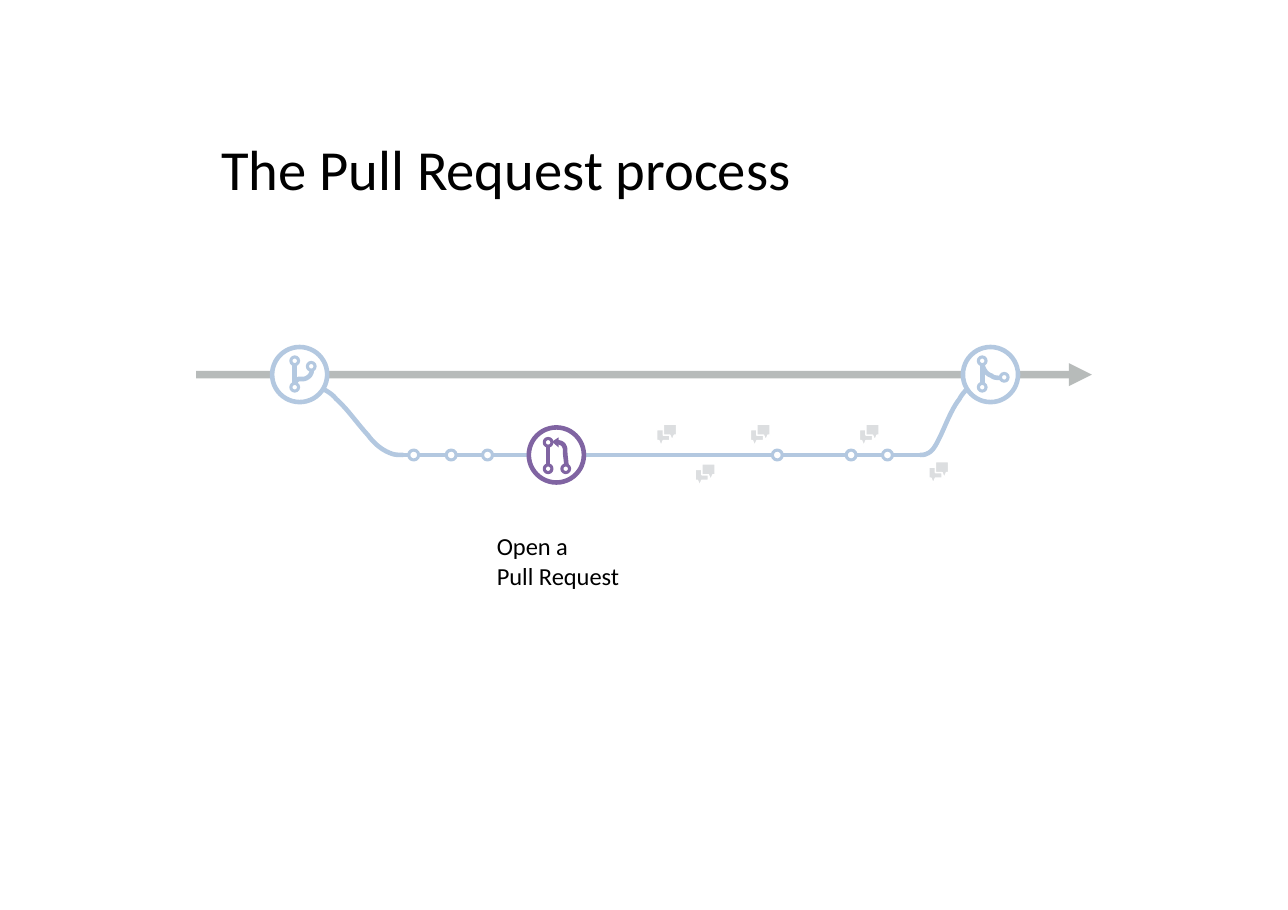
from lxml import etree
from pptx import Presentation
from pptx.dml.color import RGBColor
from pptx.enum.shapes import MSO_CONNECTOR, MSO_SHAPE
from pptx.enum.text import MSO_ANCHOR
from pptx.oxml.ns import qn
from pptx.util import Inches, Pt

STRAIGHT = MSO_CONNECTOR.STRAIGHT
OVAL = MSO_SHAPE.OVAL
MIDDLE = MSO_ANCHOR.MIDDLE

BLACK = RGBColor(0x00, 0x00, 0x00)
WHITE = RGBColor(0xFF, 0xFF, 0xFF)
GREY = RGBColor(0xA6, 0xAA, 0xA9)
PALE_GREY = RGBColor(0xDC, 0xDE, 0xE0)
BLUE = RGBColor(0xB3, 0xC8, 0xE0)
PURPLE = RGBColor(0x80, 0x64, 0xA2)

DOT, NODE, BADGE = 0.09, 0.07, 0.5
MAIN_Y, BRANCH_Y = 0.25, 0.98

# Flow parts, relative to the flow box
COMMITS = [1.93, 2.27, 2.60, 5.23, 5.90, 6.23]
REQUEST_X = 3.02
COMMENTS = [(4.18, 0.70), (4.53, 1.06), (5.03, 0.70), (6.02, 0.70), (6.65, 1.04)]
FORK = [(1.15, 0.38), (1.19, 0.40), (1.24, 0.43), (1.27, 0.47),
        (1.38, 0.57), (1.46, 0.69), (1.56, 0.80),
        (1.62, 0.88), (1.69, 0.94), (1.78, 0.97),
        (1.81, 0.98), (1.84, 0.98), (1.88, 0.98)]
RETURN = [(7.00, 0.38), (6.98, 0.40), (6.95, 0.43), (6.93, 0.47),
          (6.86, 0.56), (6.81, 0.69), (6.76, 0.80),
          (6.72, 0.88), (6.69, 0.95), (6.63, 0.97),
          (6.61, 0.98), (6.59, 0.98), (6.57, 0.98)]

# Badge icons, relative to the badge: top node, bottom node, side node, curve
BRANCH_ICON = [(0.17, 0.09), (0.17, 0.33), (0.32, 0.14)], [
    (0.36, 0.21), (0.36, 0.25), (0.33, 0.28), (0.29, 0.29),
    (0.27, 0.29), (0.25, 0.29), (0.24, 0.29),
    (0.22, 0.30), (0.21, 0.32), (0.21, 0.33)]
MERGE_ICON = [(0.14, 0.09), (0.14, 0.33), (0.34, 0.24)], [
    (0.18, 0.17), (0.19, 0.21), (0.22, 0.25), (0.26, 0.26),
    (0.28, 0.28), (0.31, 0.28), (0.34, 0.28)]
REQUEST_ICON = [(0.14, 0.10), (0.14, 0.34), (0.30, 0.34)], [
    (0.26, 0.14), (0.27, 0.13), (0.28, 0.14), (0.29, 0.14),
    (0.31, 0.15), (0.32, 0.16), (0.32, 0.17),
    (0.33, 0.18), (0.33, 0.20), (0.33, 0.22),
    (0.33, 0.26), (0.34, 0.30), (0.34, 0.34)]
REQUEST_HEAD = [(0.21, 0.13), (0.27, 0.09), (0.27, 0.18)]
BUBBLE = [(0, 0.05), (0, 0.15), (0.02, 0.15), (0.04, 0.20),
          (0.06, 0.15), (0.12, 0.15), (0.12, 0.05)]


def add_text(s, x, y, w, h, lines, size, color=BLACK, font="Calibri", left=0.03):
    tf = s.shapes.add_textbox(Inches(x), Inches(y), Inches(w), Inches(h)).text_frame
    tf.word_wrap = True
    tf.vertical_anchor = MIDDLE
    tf.margin_left = Inches(left)
    tf.margin_right = tf.margin_top = tf.margin_bottom = Inches(0.03)
    for i, line in enumerate(lines):
        p = tf.paragraphs[0] if i == 0 else tf.add_paragraph()
        r = p.add_run()
        r.text = line
        r.font.size, r.font.name = Pt(size), font
        r.font.color.rgb = color


def style(sp, fill=None, line=None, width=3):
    sp.shadow.inherit = False
    if fill is None:
        sp.fill.background()
    else:
        sp.fill.solid()
        sp.fill.fore_color.rgb = fill
    if line is None:
        sp.line.fill.background()
    else:
        sp.line.color.rgb = line
        sp.line.width = Pt(width)


def add_circle(s, x, y, size, color, width, fill=None):
    sp = s.shapes.add_shape(OVAL, Inches(x), Inches(y), Inches(size), Inches(size))
    style(sp, fill, color, width)


def add_line(s, x1, y1, x2, y2, color=BLUE, width=3):
    c = s.shapes.add_connector(STRAIGHT, Inches(x1), Inches(y1), Inches(x2), Inches(y2))
    c.line.color.rgb = color
    c.line.width = Pt(width)
    etree.SubElement(c.element.spPr, qn("a:effectLst"))
    return c


def add_outline(s, x, y, points, closed=False, **look):
    pts = [(Inches(x + px), Inches(y + py)) for px, py in points]
    builder = s.shapes.build_freeform(*pts[0])
    builder.add_line_segments(pts[1:], close=closed)
    style(builder.convert_to_shape(), **look)


def add_curve(s, x, y, controls, color=BLUE, steps=10):
    """Draw a chain of cubic curves; each takes three more control points."""
    points = [controls[0]]
    for i in range(0, len(controls) - 1, 3):
        a, b, c, d = controls[i:i + 4]
        for n in range(1, steps + 1):
            t = n / steps
            u = 1 - t
            points.append(tuple(
                u**3 * a[k] + 3 * u * u * t * b[k] + 3 * u * t * t * c[k] + t**3 * d[k]
                for k in (0, 1)))
    add_outline(s, x, y, points, line=color)


def add_badge(s, x, y, icon, color=BLUE, fill=WHITE):
    nodes, curve = icon
    add_circle(s, x, y, BADGE, color, 3, fill)
    for nx, ny in nodes:
        add_circle(s, x + nx, y + ny, NODE, color, 2)
    (top_x, top_y), (_, bottom_y) = nodes[:2]
    stem = x + top_x + NODE / 2
    add_line(s, stem, y + bottom_y, stem, y + top_y + NODE, color)
    add_curve(s, x, y, curve, color)


def add_comment(s, x, y):
    front = [(0.18 - px, py - 0.05) for px, py in BUBBLE]
    for points in (BUBBLE, front):
        add_outline(s, x, y, points, closed=True, fill=PALE_GREY, line=WHITE, width=1)


def add_main_arrow(s, x, y, w):
    c = add_line(s, x, y, x + w, y, GREY, 5)
    ln = c.line._get_or_add_ln()
    etree.SubElement(ln.find(".//" + qn("a:srgbClr")), qn("a:alpha"), val="80000")
    etree.SubElement(ln, qn("a:tailEnd"), type="triangle")


def add_flow(s, x, y, w):
    add_main_arrow(s, x, y + MAIN_Y, w)

    # Feature branch: curves, commits and the lines between them
    add_curve(s, x, y, FORK)
    add_curve(s, x, y, RETURN)
    for left in COMMITS:
        add_circle(s, x + left, y + BRANCH_Y - DOT / 2, DOT, BLUE, 2)
    stops = sorted([(c, c + DOT) for c in COMMITS] + [(REQUEST_X, REQUEST_X + BADGE)])
    starts = [FORK[-1][0]] + [right for _, right in stops]
    ends = [left for left, _ in stops] + [RETURN[-1][0]]
    for start, end in zip(starts, ends):
        add_line(s, x + start, y + BRANCH_Y, x + end, y + BRANCH_Y)

    # Review comments
    for cx, cy in COMMENTS:
        add_comment(s, x + cx, y + cy)

    # Badges
    add_badge(s, x + 0.69, y, BRANCH_ICON)
    add_badge(s, x + 6.96, y, MERGE_ICON)
    request_y = y + BRANCH_Y - BADGE / 2
    add_badge(s, x + REQUEST_X, request_y, REQUEST_ICON, PURPLE, None)
    add_outline(s, x + REQUEST_X, request_y, REQUEST_HEAD, closed=True, fill=PURPLE)


def main():
    prs = Presentation()
    prs.slide_width, prs.slide_height = Inches(11.69), Inches(8.26)
    s = prs.slides.add_slide(prs.slide_layouts[6])
    add_flow(s, 1.78, 3.15, 8.13)
    add_text(s, 4.48, 4.87, 1.96, 0.44, ["Open a", "Pull Request"], 16)
    add_text(s, 1.86, 0.94, 7.98, 1.17, ["The Pull Request process"], 37, left=0.15)
    prs.save("out.pptx")


if __name__ == "__main__":
    main()
